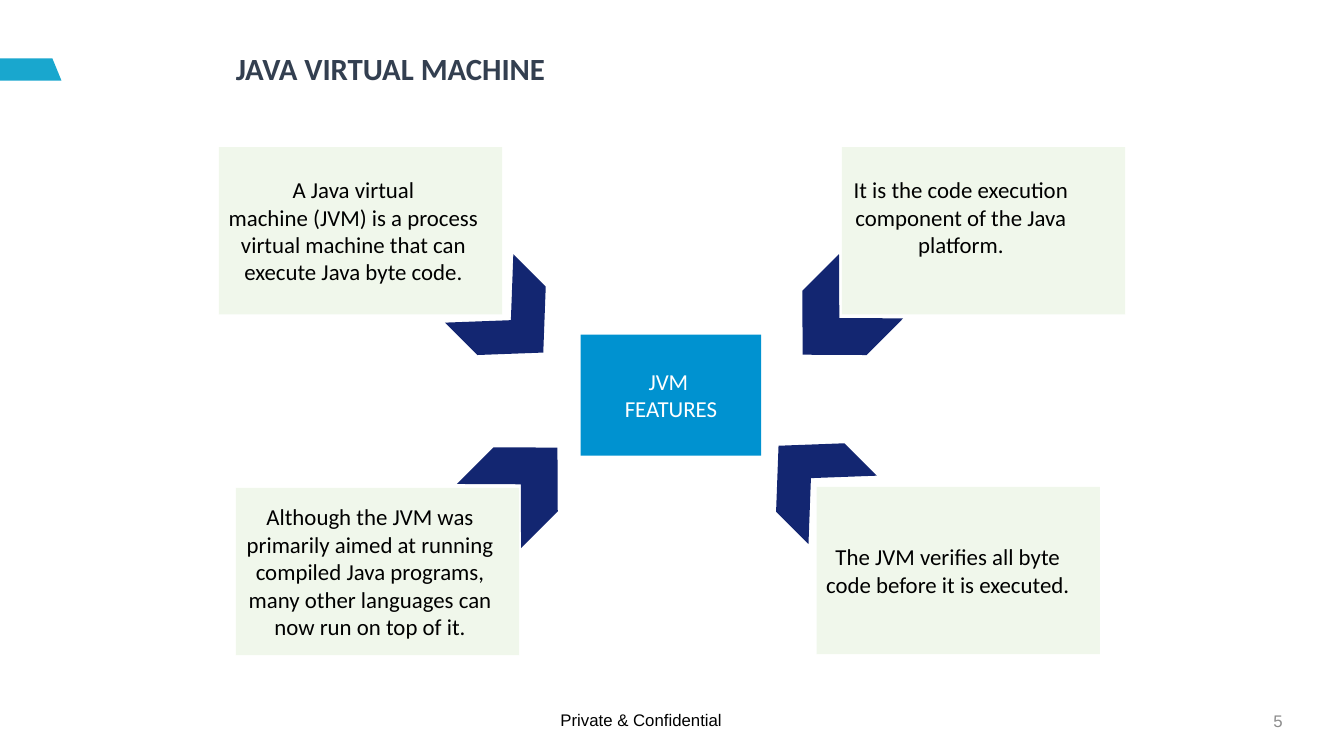
import pptx
import pptx.dml.color
import pptx.enum.shapes
import pptx.enum.text
import pptx.oxml
import pptx.oxml.ns
import pptx.util
from pptx.util import Inches

ALIGN = pptx.enum.text.PP_ALIGN
SHAPE = pptx.enum.shapes.MSO_SHAPE
COLORS = {
    "title": "333F50", "text": "000000", "light": "FFFFFF", "number": "8C8C8C",
    "accent": "19A7CE", "card": "E2F0D9", "chevron": "132671", "center": "0092D0",
}
CARD_W, CARD_H = 2.81, 1.66
# left, top, right inset, bottom inset, text
CARDS = [
    (2.17, 1.46, 0.19, 0.05,
     "A\u00a0Java virtual machine\u00a0(JVM) is a\u00a0process virtual machine\u00a0that can "
     "execute\u00a0Java byte code."),
    (2.34, 4.84, 0.2, 0.05,
     "Although the JVM was primarily aimed at running compiled Java programs, "
     "many other languages can now run on top of it."),
    (8.35, 1.46, 0.5, 0.32,
     "It is the code execution component of the\u00a0Java platform."),
    (8.1, 4.83, 0.26, 0.05,
     "The JVM\u00a0verifies\u00a0all byte code before it is executed."),
]
# left, top, width, height, rotation
CHEVRONS = [
    (4.62, 2.7, 0.9, 0.96, 45),
    (7.82, 2.73, 0.96, 0.9, 135),
    (7.59, 4.26, 0.9, 0.96, 225),
    (4.71, 4.33, 0.96, 0.9, 315),
]


def write(tf, text, size=16.3, color="text", font="Calibri", bold=False,
          align=ALIGN.CENTER, spacing=None, wrap=True, insets=(0.1, 0.05, 0.1, 0.05)):
    """Fill a text frame, one paragraph per line; insets are left, top, right, bottom."""
    tf.word_wrap = wrap
    tf.vertical_anchor = pptx.enum.text.MSO_ANCHOR.MIDDLE
    tf.margin_left, tf.margin_top, tf.margin_right, tf.margin_bottom = map(Inches, insets)
    for i, line in enumerate(text.split("\n")):
        p = tf.add_paragraph() if i else tf.paragraphs[0]
        p.alignment = align
        if spacing:
            p.line_spacing = spacing
        r = p.add_run()
        r.text = line
        r.font.name, r.font.size, r.font.bold = font, pptx.util.Pt(size), bold
        r.font.color.rgb = pptx.dml.color.RGBColor.from_string(COLORS[color])


class Deck:
    def __init__(self):
        self.prs = pptx.Presentation()
        self.prs.slide_width, self.prs.slide_height = Inches(13.33), Inches(7.5)
        self.s = self.prs.slides.add_slide(self.prs.slide_layouts[6])

    def paint(self, sp, color, alpha=None):
        """Give a flat fill without line or shadow; alpha is a percentage."""
        sp.shadow.inherit = False
        sp.line.fill.background()
        sp.fill.solid()
        sp.fill.fore_color.rgb = pptx.dml.color.RGBColor.from_string(COLORS[color])
        if alpha is not None:
            clr = sp.fill._xPr.find(".//" + pptx.oxml.ns.qn("a:srgbClr"))
            clr.append(pptx.oxml.parse_xml(
                f'<a:alpha {pptx.oxml.ns.nsdecls("a")} val="{alpha * 1000}"/>'))
        return sp

    def text(self, x, y, w, h, text, **fmt):
        sp = self.s.shapes.add_textbox(*map(Inches, (x, y, w, h)))
        write(sp.text_frame, text, **fmt)

    def shape(self, kind, x, y, w, h, color, alpha=None):
        sp = self.s.shapes.add_shape(kind, *map(Inches, (x, y, w, h)))
        return self.paint(sp, color, alpha)

    def polygon(self, points, color):
        pts = [(Inches(x), Inches(y)) for x, y in points]
        builder = self.s.shapes.build_freeform(*pts[0])
        builder.add_line_segments(pts[1:], close=True)
        self.paint(builder.convert_to_shape(), color)

    def chevron(self, x, y, w, h, rotation):
        sp = self.shape(SHAPE.CHEVRON, x, y, w, h, "chevron")
        sp.adjustments[0] = 0.495
        sp.rotation = rotation


def main():
    deck = Deck()
    deck.text(9.82, 6.95, 3, 0.4, "5", size=12, font="Arial", color="number",
              align=ALIGN.RIGHT)
    deck.polygon([(0.52, 0.58), (0, 0.58), (0, 0.8), (0.61, 0.8)], "accent")
    deck.text(5.46, 6.99, 1.81, 0.3, "Private & Confidential", size=12, font="Arial",
              align=ALIGN.LEFT, wrap=False)
    deck.text(2.24, 0.37, 10, 0.65, "JAVA VIRTUAL MACHINE", size=22, color="title",
              bold=True, align=ALIGN.LEFT, spacing=0.9)
    for x, y, right, bottom, text in CARDS:
        sp = deck.shape(SHAPE.RECTANGLE, x, y, CARD_W, CARD_H, "card", alpha=50)
        write(sp.text_frame, text, insets=(0.05, 0.05, right, bottom))
    for chevron in CHEVRONS:
        deck.chevron(*chevron)
    sp = deck.shape(SHAPE.RECTANGLE, 5.76, 3.32, 1.79, 1.2, "center")
    write(sp.text_frame, "JVM \nFEATURES", color="light")
    deck.prs.save("out.pptx")


if __name__ == "__main__":
    main()
